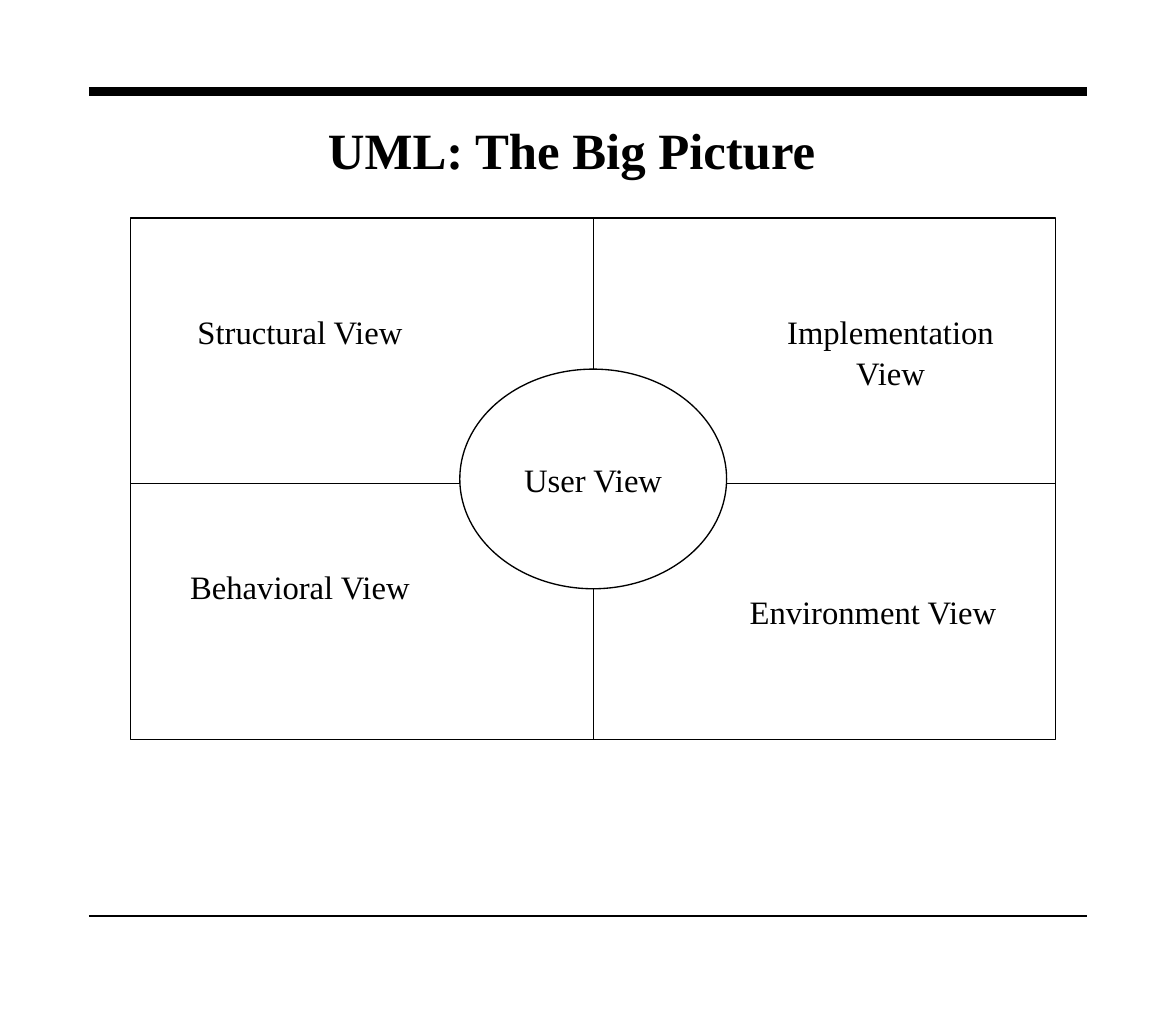
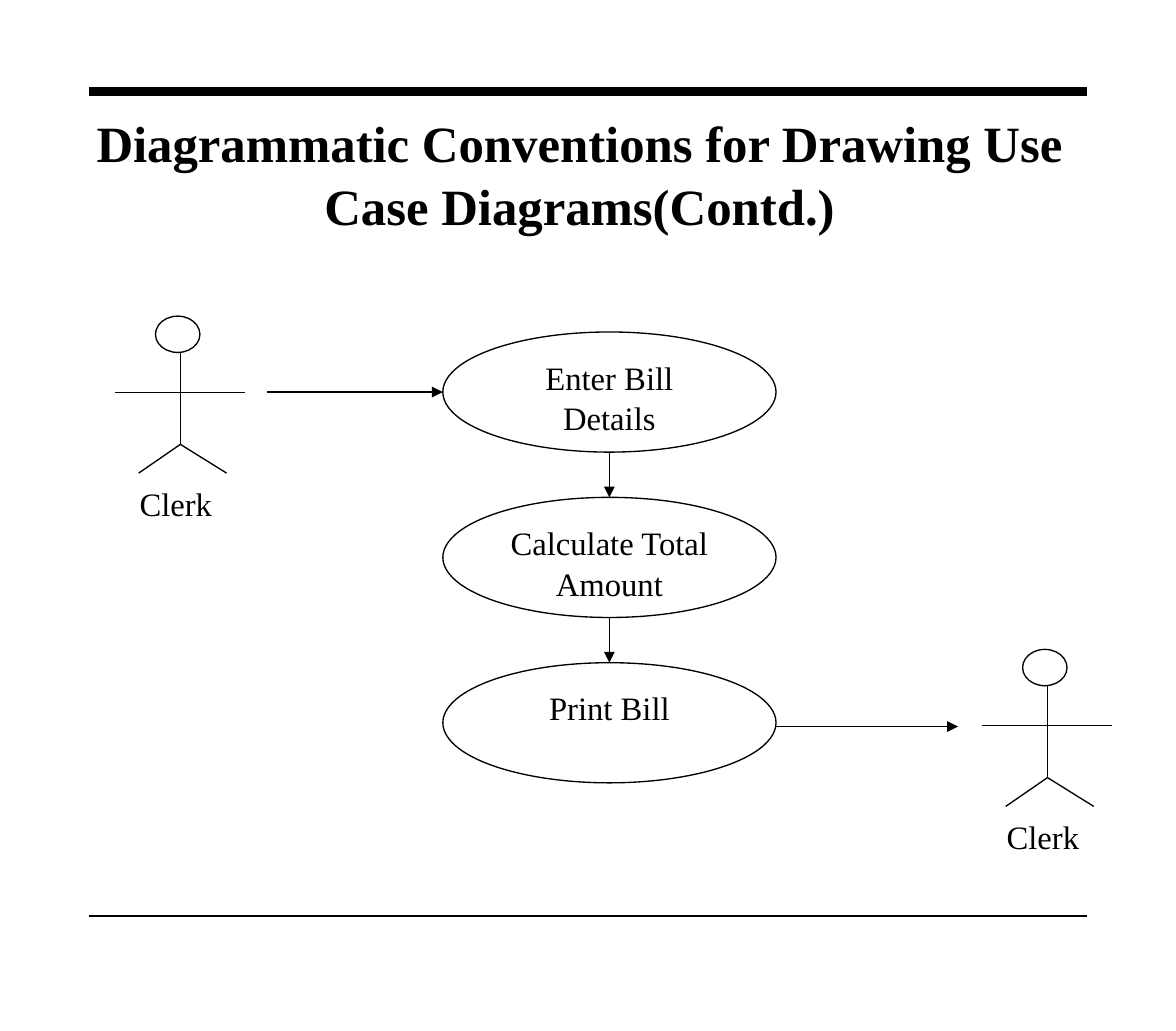
from dataclasses import dataclass
from typing import NamedTuple

from lxml.etree import SubElement
from pptx import Presentation
from pptx.dml.color import RGBColor
from pptx.enum.shapes import MSO_CONNECTOR as LINE, MSO_SHAPE as SHAPE
from pptx.enum.text import MSO_ANCHOR as ANCHOR, MSO_AUTO_SIZE as AUTO, PP_ALIGN as ALIGN
from pptx.oxml.ns import qn
from pptx.util import Pt


@dataclass(frozen=True)
class Theme:
    ink: RGBColor = RGBColor(0, 0, 0)
    paper: RGBColor = RGBColor(255, 255, 255)
    font: str = "Times New Roman"
    title: float = 28
    body: float = 18
    leading: float = 1.04
    thin: float = 0.75
    rule: float = 1
    band: float = 4.5


class Box(NamedTuple):
    x: float
    y: float
    w: float
    h: float

    @property
    def cx(self):
        return self.x + self.w / 2

    @property
    def right(self):
        return self.x + self.w

    @property
    def bottom(self):
        return self.y + self.h


THEME = Theme()
TITLE_ONLY = 5
TOP, BOTTOM = 0, 2  # connection sites of a rectangle


def in_points(*values):
    return [Pt(v) for v in values]


def write(sp, text, size=THEME.body, bold=False, align=ALIGN.CENTER, anchor=ANCHOR.TOP, inset_top=3.6):
    tf = sp.text_frame
    tf.word_wrap = True
    tf.auto_size = AUTO.NONE
    tf.vertical_anchor = anchor
    tf.margin_left = tf.margin_right = Pt(7.2)
    tf.margin_top, tf.margin_bottom = Pt(inset_top), Pt(3.6)
    p = tf.paragraphs[0]
    p.alignment = align
    p.line_spacing = THEME.leading
    r = p.add_run()
    r.text = text
    r.font.name, r.font.size, r.font.bold = THEME.font, Pt(size), bold
    r.font.color.rgb = THEME.ink


def add_shape(slide, kind, box, outlined=True):
    sp = slide.shapes.add_shape(kind, *in_points(*box))
    sp.shadow.inherit = False
    sp.fill.solid()
    sp.fill.fore_color.rgb = THEME.paper
    if outlined:
        sp.line.color.rgb = THEME.ink
        sp.line.width = Pt(THEME.thin)
    else:
        sp.line.fill.background()
    return sp


def add_line(slide, x1, y1, x2, y2, width=THEME.thin, arrow=False):
    line = slide.shapes.add_connector(LINE.STRAIGHT, *in_points(x1, y1, x2, y2))
    line.line.color.rgb = THEME.ink
    line.line.width = Pt(width)
    if arrow:
        SubElement(line.line._get_or_add_ln(), qn("a:tailEnd"), type="triangle")
    SubElement(line.element.spPr, qn("a:effectLst"))
    return line


def add_titled_slide(prs, title, box):
    slide = prs.slides.add_slide(prs.slide_layouts[TITLE_ONLY])
    for y, width in ((50.4, THEME.band), (504.7, THEME.rule)):
        add_line(slide, 49, y, 599, y, width)
    sp = slide.shapes.title
    sp.left, sp.top, sp.width, sp.height = in_points(*box)
    write(sp, title, THEME.title, bold=True, anchor=ANCHOR.MIDDLE)
    return slide


def add_views(slide, box):
    """Four views in a frame, around the user view."""
    frame = add_shape(slide, SHAPE.RECTANGLE, box)
    w, h = 147, 121
    user = Box(box.cx - w / 2, box.y + (box.h - h) / 2, w, h)
    write(add_shape(slide, SHAPE.OVAL, user), "User View", anchor=ANCHOR.MIDDLE)

    add_line(slide, box.cx, box.y, box.cx, user.y).begin_connect(frame, TOP)
    add_line(slide, box.cx, user.bottom, box.cx, box.bottom).end_connect(frame, BOTTOM)
    middle = box.y + 146.2
    add_line(slide, box.x, middle, user.x, middle)
    add_line(slide, user.right, middle, box.right, middle)

    views = (
        ("Structural View", ALIGN.CENTER, 32),
        ("Implementation View", ALIGN.CENTER, 32),
        ("Behavioral View", ALIGN.CENTER, 32),
        ("Environment View", ALIGN.LEFT, 46),
    )
    for i, (name, align, inset_top) in enumerate(views):
        row, col = divmod(i, 2)
        cell = Box(box.x + 8.6 + col * 325.4, box.y + 18.7 + row * 140.4, 169.5, 113)
        sp = add_shape(slide, SHAPE.RECTANGLE, cell, outlined=False)
        write(sp, name, align=align, inset_top=inset_top)


def add_actor(slide, box, name):
    """Stick figure as wide as its arms, with its name below."""
    x, y = box.x, box.y
    spine, hips, feet, arms = x + 36, y + 70.6, y + 86.5, y + 42
    add_shape(slide, SHAPE.FLOWCHART_CONNECTOR, Box(x + 22.3, y, 24.5, 20))
    add_line(slide, spine, y + 19.7, spine, hips)
    for foot in (x + 13, x + 61.5):
        add_line(slide, spine, hips, foot, feet)
    add_line(slide, x, arms, box.right, arms)
    label = slide.shapes.add_textbox(*in_points(x - 5.5, y + 88, 78, 36))
    write(label, name)


def add_use_cases(slide, box, names, gap):
    """Column of use cases joined by arrows; returns their boxes."""
    h = (box.h - gap * (len(names) - 1)) / len(names)
    cases = [Box(box.x, box.y + i * (h + gap), box.w, h) for i in range(len(names))]
    for case, name in zip(cases, names):
        write(add_shape(slide, SHAPE.OVAL, case), name)
    for upper, lower in zip(cases, cases[1:]):
        add_line(slide, box.cx, upper.bottom, box.cx, lower.y, arrow=True)
    return cases


def add_billing(slide, box):
    """Clerk, billing use cases and clerk, joined from left to right."""
    names = ("Enter Bill Details", "Calculate Total Amount", "Print Bill")
    column = Box(box.x + 180.6, box.y + 8.7, 183.6, 248.4)
    cases = add_use_cases(slide, column, names, gap=24.9)
    sender = Box(box.x, box.y, 71.6, 124)
    receiver = Box(box.right - 71.6, box.y + 183.6, 71.6, 124)
    for actor in (sender, receiver):
        add_actor(slide, actor, "Clerk")
    entry, result = sender.y + 41.8, receiver.y + 42.5
    add_line(slide, sender.right + 12, entry, cases[0].x, entry, arrow=True)
    add_line(slide, cases[-1].right, result, receiver.x - 13.3, result, arrow=True)


def main():
    prs = Presentation()
    prs.slide_width, prs.slide_height = in_points(648, 568)

    slide = add_titled_slide(prs, "UML: The Big Picture", Box(102.2, 55.4, 425.5, 52.6))
    add_views(slide, Box(72, 120.2, 509.8, 287.3))

    title = "Diagrammatic Conventions for Drawing Use Case Diagrams(Contd.)"
    slide = add_titled_slide(prs, title, Box(30.2, 59.8, 578.2, 70.6))
    add_billing(slide, Box(63.4, 174.2, 549.4, 307.6))

    prs.save("out.pptx")


if __name__ == "__main__":
    main()
